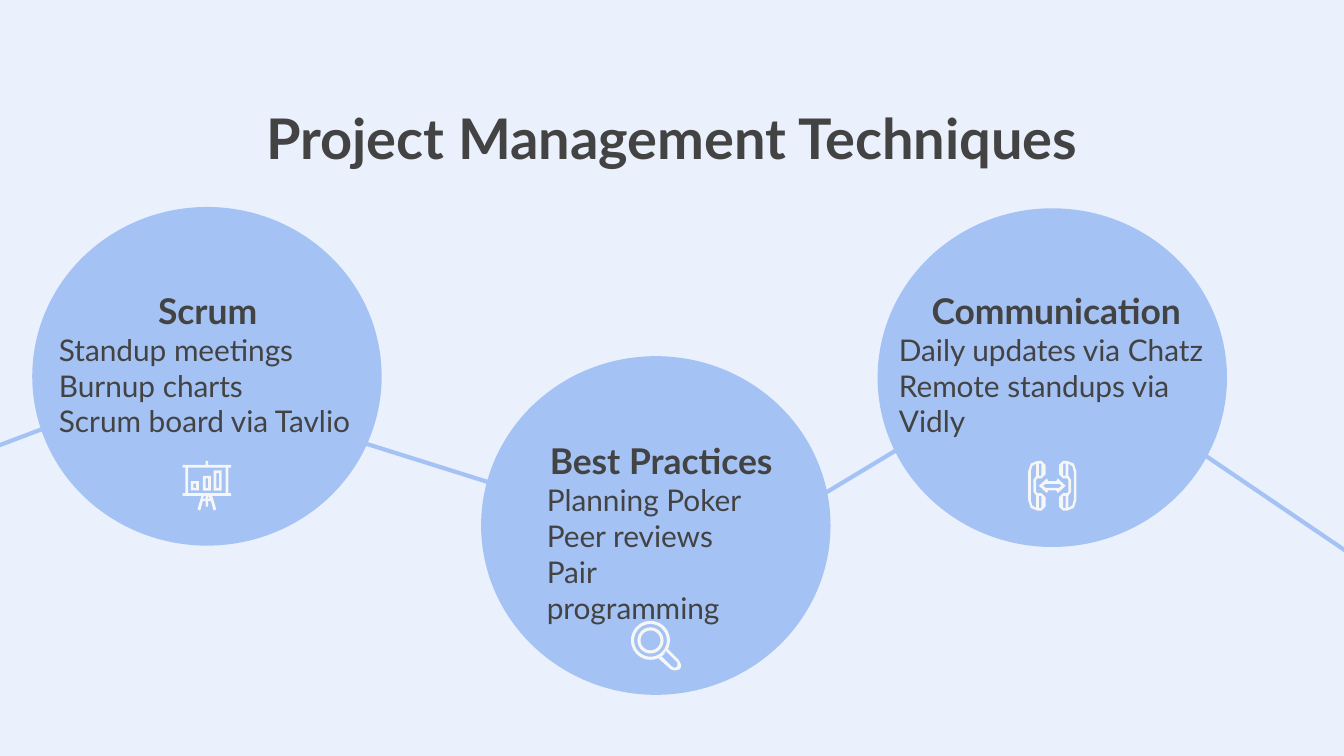
import math
from lxml import etree
from pptx import Presentation
from pptx import util as u
from pptx.dml.color import RGBColor
from pptx.enum import shapes, text
from pptx.oxml import ns

BG = RGBColor(0xEA, 0xF1, 0xFD)
BLUE = RGBColor(0xA4, 0xC2, 0xF4)
DARK = RGBColor(0x43, 0x43, 0x43)
ICON = RGBColor(0xF6, 0xF6, 0xF6)

prs = Presentation()
prs.slide_width = u.Inches(10)
prs.slide_height = prs.slide_width * 9 // 16
col, row = prs.slide_width / 100, prs.slide_height / 56.25
s = prs.slides.add_slide(prs.slide_layouts[6])
s.background.fill.solid()
s.background.fill.fore_color.rgb = BG


def text_box(x, y, w, h, top, lines):
    sp = s.shapes.add_textbox(*map(int, (x * col, y * row, w * col, h * row)))
    tf = sp.text_frame
    tf.word_wrap = True
    tf.margin_left = tf.margin_right = tf.margin_bottom = int(col)
    tf.margin_top = int(top * row)
    for i, (line, size, bold) in enumerate(lines):
        p = tf.paragraphs[0] if i == 0 else tf.add_paragraph()
        p.alignment = text.PP_ALIGN.CENTER if bold else text.PP_ALIGN.LEFT
        r = p.add_run()
        r.text = line
        r.font.name, r.font.size, r.font.bold = "Lato", u.Pt(size), bold
        r.font.color.rgb = DARK
    return tf


def icon_part(contours):
    points = [[(x * col, y * row) for x, y in c] for c in contours]
    fb = s.shapes.build_freeform(*points[0][0], scale=1.0)
    fb.add_line_segments(points[0][1:], close=True)
    for c in points[1:]:
        fb.move_to(*c[0])
        fb.add_line_segments(c[1:], close=True)
    sp = fb.convert_to_shape()
    sp.shadow.inherit = False
    sp.fill.solid()
    sp.fill.fore_color.rgb = ICON
    sp.line.fill.background()
    return sp


tf = text_box(3.4, 7.1, 93.2, 6.6, 1, [("Project Management Techniques", 30, True)])
tf.vertical_anchor = text.MSO_ANCHOR.BOTTOM

for x1, y1, x2, y2 in [(25.6, 32.5, 43.1, 38), (54.9, 40.6, 74.5, 28.8),
                       (14.1, 27.8, -6.6, 35.6), (102.5, 42.6, 83.5, 29.7)]:
    c = s.shapes.add_connector(shapes.MSO_CONNECTOR.STRAIGHT,
                               *map(int, (x1 * col, y1 * row, x2 * col, y2 * row)))
    c.line.color.rgb = BLUE
    c.line.width = u.Pt(2.25)
    etree.SubElement(c._element.spPr, ns.qn("a:effectLst"))

techniques = [
    ((2.4, 15.4), (3.4, 18.2, 24.1, 17.6), "Scrum",
     ["Standup meetings", "Burnup charts", "Scrum board via Tavlio"]),
    ((35.8, 26.5), (39.7, 29.4, 19, 17.6), "Best Practices",
     ["Planning Poker", "Peer reviews", "Pair programming"]),
    ((65.3, 15.5), (65.9, 18.2, 25.4, 18.6), "Communication",
     ["Daily updates via Chatz", "Remote standups via Vidly"]),
]
for (x, y), box, heading, items in techniques:
    sp = s.shapes.add_shape(shapes.MSO_SHAPE.OVAL,
                            *map(int, (x * col, y * row, 26 * col, 25.2 * row)))
    sp.shadow.inherit = False
    sp.fill.solid()
    sp.fill.fore_color.rgb = BLUE
    sp.line.fill.background()
    text_box(*box, 3.3, [(heading, 19, True)] + [(item, 16, False) for item in items])

board = [icon_part([
    [(15.3, 34.3), (15.5, 34.3), (15.5, 34.6), (17.2, 34.6), (17.2, 34.8),
     (17, 34.8), (17, 36.7), (17.2, 36.7), (17.2, 36.9), (15.8, 36.9),
     (16.1, 37.9), (15.9, 38), (15.7, 37.3), (15.5, 37.3), (15.5, 37.7),
     (15.3, 37.7), (15.3, 37.3), (15.1, 37.3), (14.9, 38), (14.7, 37.9),
     (15, 36.9), (13.6, 36.9), (13.6, 36.7), (13.8, 36.7), (13.8, 34.8),
     (13.6, 34.8), (13.6, 34.6), (15.3, 34.6)],
    [(14, 34.8), (16.8, 34.8), (16.8, 36.7), (14, 36.7)],
    [(15.2, 36.9), (15.3, 36.9), (15.3, 37.1), (15.1, 37.1)],
    [(15.5, 36.9), (15.6, 37.1), (15.5, 37.1)],
])]
for x, y in [(14.2, 35.8), (15.1, 35.4), (15.9, 35)]:
    board.append(icon_part([
        [(x + d, y + d), (x + 0.6 - d, y + d), (x + 0.6 - d, 36.5 - d), (x + d, 36.5 - d)]
        for d in (0, 0.2)]))

rings = [[(48.4 + r * math.cos(math.radians(a)), 47.65 + r * math.sin(math.radians(a)))
          for a in range(0, 360, 10)] for r in (1.45, 1.22, 0.97, 0.74)]
handle = [
    [(49, 49), (49.7, 48.3), (50.5, 49.1), (50.7, 49.5), (50.6, 49.8),
     (50.2, 49.9), (49.9, 49.8)],
    [(49.2, 48.8), (49.6, 48.5), (50.4, 49.3), (50.4, 49.6), (50.2, 49.7), (50, 49.6)],
]
magnifier = [icon_part(rings[:2] + handle), icon_part(rings[2:])]

handset = [
    [(77.2, 34.3), (77.5, 34.3), (77.8, 34.6), (77.8, 35.3), (77.5, 35.6),
     (77.2, 35.6), (77.1, 35.7), (77.1, 36.6), (77.2, 36.7), (77.5, 36.7),
     (77.8, 37), (77.8, 37.7), (77.5, 38), (77.2, 38), (76.7, 37.8),
     (76.5, 37.2), (76.5, 35.1), (76.7, 34.5)],
    [(77.3, 34.5), (77.5, 34.5), (77.5, 35.4), (77.3, 35.4)],
    [(77.1, 34.5), (77.1, 35.4), (76.9, 35.7), (76.9, 36.6), (77.1, 36.9),
     (77.1, 37.8), (76.8, 37.6), (76.7, 37.2), (76.7, 35.1), (76.8, 34.7)],
    [(77.3, 36.9), (77.5, 36.9), (77.5, 37.8), (77.3, 37.8)],
]
mirrored = [[(156.6 - x, y) for x, y in c] for c in handset]
arrow = [
    [(77.3, 36.15), (77.9, 35.6), (78, 35.8), (78.6, 35.8), (78.7, 35.6),
     (79.3, 36.15), (78.7, 36.7), (78.6, 36.5), (78, 36.5), (77.9, 36.7)],
    [(77.6, 36.15), (77.8, 36), (78.8, 36), (79, 36.15), (78.8, 36.3), (77.8, 36.3)],
]
calls = [icon_part(c) for c in (handset, mirrored, arrow)]

for parts in (board, magnifier, calls):
    s.shapes.add_group_shape(parts)

prs.save("out.pptx")
